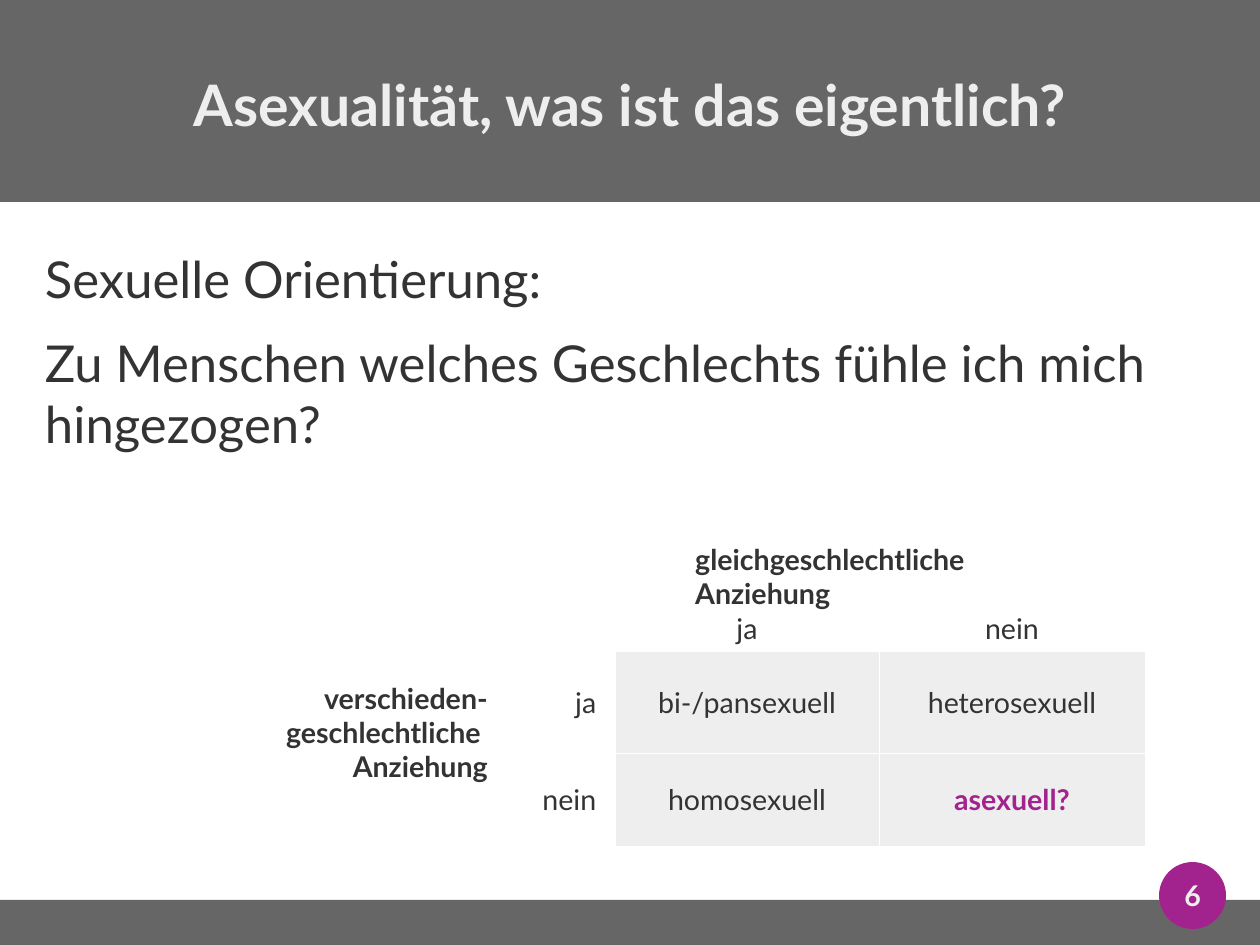
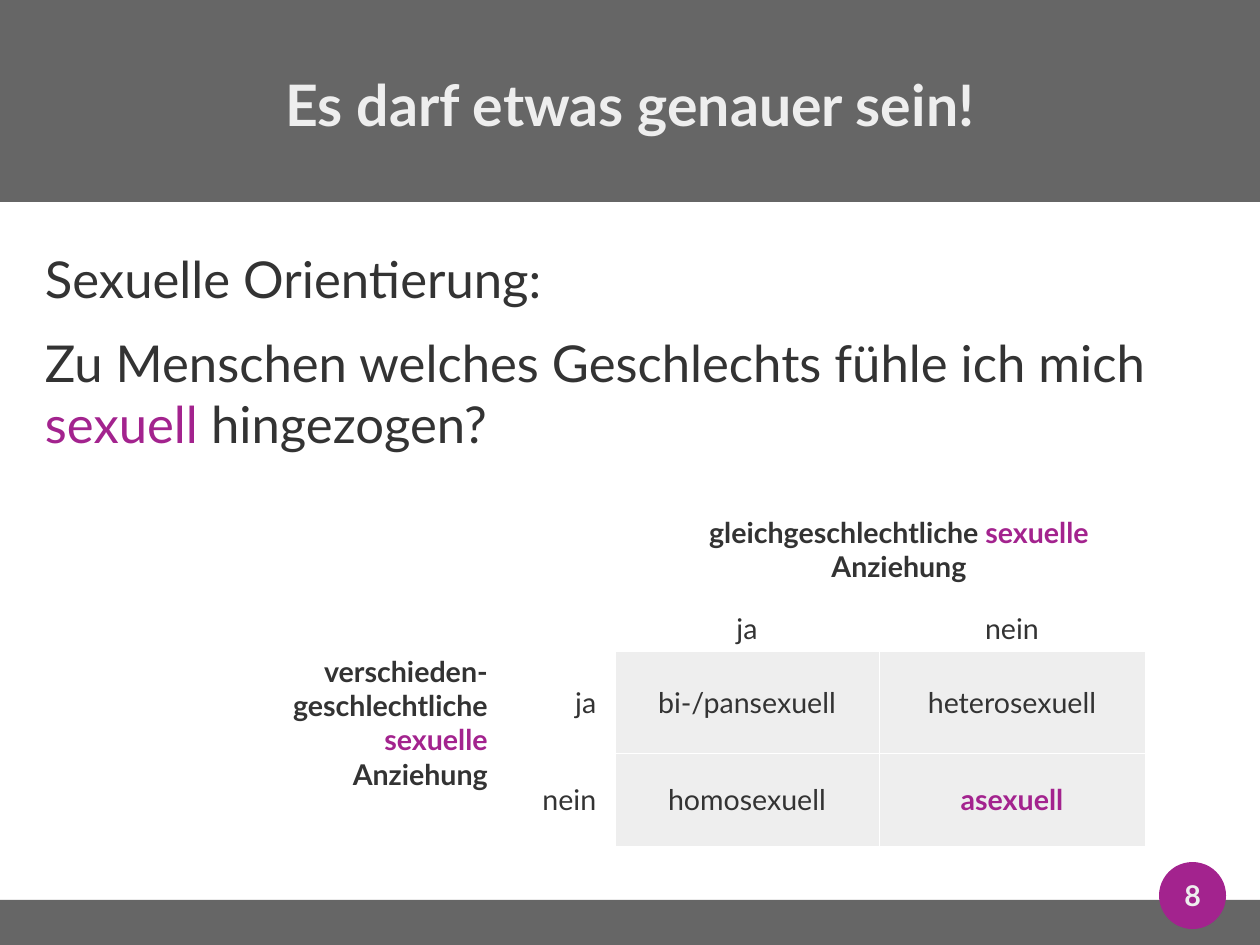
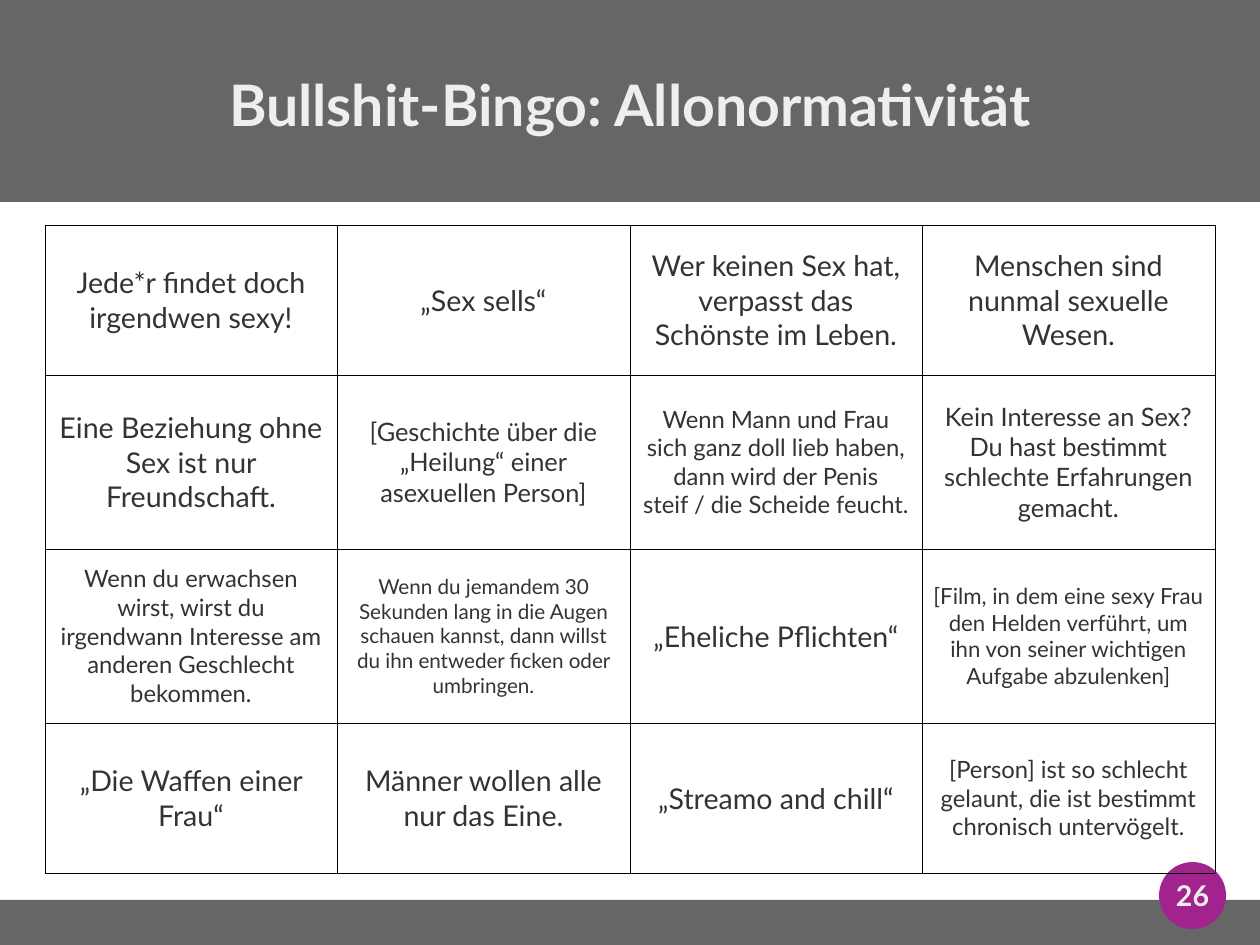
from lxml import etree
from pptx import Presentation
from pptx.dml.color import RGBColor
from pptx.enum.shapes import MSO_SHAPE
from pptx.enum.text import MSO_ANCHOR, MSO_AUTO_SIZE, PP_ALIGN
from pptx.oxml.ns import qn
from pptx.util import Pt

RECT, OVAL = MSO_SHAPE.RECTANGLE, MSO_SHAPE.OVAL
LEFT, MID, RIGHT = PP_ALIGN.LEFT, PP_ALIGN.CENTER, PP_ALIGN.RIGHT
TOP, CENTRE, LOW = MSO_ANCHOR.TOP, MSO_ANCHOR.MIDDLE, MSO_ANCHOR.BOTTOM
NO_FIT = MSO_AUTO_SIZE.NONE

FONT = "Lato"
INK, GREY, PALE, WHITE, BLACK = "333333", "666666", "EEEEEE", "FFFFFF", "000000"
PURPLE = "A3238E"

BINGO = [
    [("Jede*r findet doch irgendwen sexy!", 18),
     ("„Sex sells“", 18),
     ("Wer keinen Sex hat, verpasst das Schönste im Leben.", 18),
     ("Menschen sind nunmal sexuelle Wesen.", 18)],
    [("Eine Beziehung ohne Sex ist nur Freundschaft.", 18),
     ("[Geschichte über die „Heilung“ einer asexuellen Person]", 16),
     ("Wenn Mann und Frau sich ganz doll lieb haben, dann wird der Penis "
      "steif / die Scheide feucht.", 15),
     ("Kein Interesse an Sex? Du hast bestimmt schlechte Erfahrungen gemacht.", 16)],
    [("Wenn du erwachsen wirst, wirst du irgendwann Interesse am anderen "
      "Geschlecht bekommen.", 15),
     ("Wenn du jemandem 30 Sekunden lang in die Augen schauen kannst, dann "
      "willst du ihn entweder ficken oder umbringen.", 13),
     ("„Eheliche Pflichten“", 18),
     ("[Film, in dem eine sexy Frau den Helden verführt, um ihn von seiner "
      "wichtigen Aufgabe abzulenken]", 14)],
    [("„Die Waffen einer Frau“", 18),
     ("Männer wollen alle nur das Eine.", 18),
     ("„Streamo and chill“", 18),
     ("[Person] ist so schlecht gelaunt, die ist bestimmt chronisch "
      "untervögelt.", 15)],
]


def px(n):
    return n * 8000


def box(*sides):
    return [px(n) for n in sides]


def rgb(code):
    return RGBColor.from_string(code)


def bare(frame):
    frame.margin_left = frame.margin_right = 0
    frame.margin_top = frame.margin_bottom = 0


def write(frame, *lines, size=18, color=INK, bold=False, align=LEFT, after=0):
    """Fill a frame, one paragraph a line; text between bars is purple."""
    frame.word_wrap = True
    for i, line in enumerate(lines):
        para = frame.paragraphs[0] if i == 0 else frame.add_paragraph()
        para.alignment = align
        para.space_before, para.space_after = Pt(0), Pt(after)
        for j, part in enumerate(line.split("|")):
            if not part:
                continue
            run = para.add_run()
            run.text = part
            font = run.font
            font.name, font.size, font.bold = FONT, Pt(size), bold
            font.color.rgb = rgb(PURPLE if j % 2 else color)


def label(page, sides, *lines, **look):
    frame = page.shapes.add_textbox(*box(*sides)).text_frame
    write(frame, *lines, **look)
    return frame


def plain(frame):
    """Take the bullets and indents off a list."""
    for para in frame.paragraphs:
        props = para._p.get_or_add_pPr()
        props.set("marL", "0")
        props.set("indent", "0")
        etree.SubElement(props, qn("a:buNone"))


def band(page, kind, color, *sides):
    """Draw a flat shape and hand it to the layout, behind all else."""
    shape = page.shapes.add_shape(kind, *box(*sides))
    shape.shadow.inherit = False
    shape.fill.solid()
    shape.fill.fore_color.rgb = rgb(color)
    shape.line.fill.background()
    page.slide_layout.shapes.element.insert(2, shape.element)


def set_up(layout):
    """Place the title and body for all slides."""
    places = [(45, 9, 1170, 189, CENTRE), (45, 248, 1170, 630, TOP)]
    for holder, (*sides, anchor) in zip(layout.placeholders, places):
        holder.left, holder.top, holder.width, holder.height = box(*sides)
        frame = holder.text_frame
        bare(frame)
        frame.vertical_anchor = anchor
        frame.auto_size = NO_FIT


def add_page(deck, title, number):
    page = deck.slides.add_slide(deck.slide_layouts[1])
    write(page.shapes.title.text_frame, title, size=36, color=PALE,
          bold=True, align=MID)
    bare(label(page, (1159, 878, 67, 51), str(number), color=PALE,
               bold=True, align=MID))
    return page


def edge(cell, color, width):
    """Rule all four sides of a cell."""
    props = cell._tc.get_or_add_tcPr()
    for side in "LRTB":
        line = etree.SubElement(props, qn("a:ln" + side), w=str(Pt(width)))
        fill = etree.SubElement(line, qn("a:solidFill"))
        etree.SubElement(fill, qn("a:srgbClr"), val=color)


def grid(page, left, top, cols, rows, color, width):
    """Add an unfilled, ruled table."""
    sides = box(left, top, sum(cols), sum(rows))
    table = page.shapes.add_table(len(rows), len(cols), *sides).table
    table.first_row = table.horz_banding = False
    for col, size in zip(table.columns, cols):
        col.width = px(size)
    for row, size in zip(table.rows, rows):
        row.height = px(size)
    for cell in table.iter_cells():
        edge(cell, color, width)
        cell.fill.background()
        cell.vertical_anchor = CENTRE
    return table


def matrix(page, last):
    """Add the yes/no table; last is the cell for twice no."""
    words = [["", "ja", "nein"],
             ["ja ", "bi-/pansexuell", "heterosexuell"],
             ["nein ", "homosexuell", f"|{last}|"]]
    table = grid(page, 432, 549, [183, 264, 266], [102, 102, 93], WHITE, 0.06)
    for r, row in enumerate(words):
        for c, text in enumerate(row):
            cell = table.cell(r, c)
            write(cell.text_frame, text, bold="|" in text,
                  align=MID if c else RIGHT)
            if r == 0:
                cell.vertical_anchor = LOW
            elif c:
                cell.fill.solid()
                cell.fill.fore_color.rgb = rgb(PALE)


def orient(page, ask, last, across, down, top, align):
    """Fill a slide with the question, the table and its two axis labels."""
    frame = page.placeholders[1].text_frame
    write(frame, "Sexuelle Orientierung:", ask, size=32, after=14.1)
    plain(frame)
    matrix(page, last)
    label(page, (684, top, 430, 90), across, bold=True, align=align)
    label(page, (256, top + 139, 243, 170), *down, bold=True, align=RIGHT)


def bingo(page):
    body = page.placeholders[1].element
    body.getparent().remove(body)
    table = grid(page, 45, 225, [292, 293] * 2, [150, 174, 174, 150], BLACK, 0.57)
    for r, row in enumerate(BINGO):
        for c, (text, size) in enumerate(row):
            write(table.cell(r, c).text_frame, text, size=size, align=MID)


def main():
    deck = Presentation()
    deck.slide_width, deck.slide_height = box(1260, 945)
    set_up(deck.slide_layouts[1])

    page = add_page(deck, "Asexualität, was ist das eigentlich?", 6)
    band(page, OVAL, PURPLE, 1159, 862, 67, 67)
    band(page, RECT, GREY, 0, 0, 1260, 202)
    band(page, RECT, GREY, 0, 900, 1260, 45)
    orient(page, "Zu Menschen welches Geschlechts fühle ich mich hingezogen?",
           "asexuell?", "gleichgeschlechtliche Anziehung",
           ["verschieden-", "geschlechtliche ", "Anziehung"], 536, LEFT)

    page = add_page(deck, "Es darf etwas genauer sein!", 8)
    orient(page, "Zu Menschen welches Geschlechts fühle ich mich |sexuell| hingezogen?",
           "asexuell", "gleichgeschlechtliche |sexuelle| Anziehung",
           ["verschieden-", "geschlechtliche", "|sexuelle|", "Anziehung"], 509, MID)

    bingo(add_page(deck, "Bullshit-Bingo: Allonormativität", 26))
    deck.save("out.pptx")


if __name__ == "__main__":
    main()
